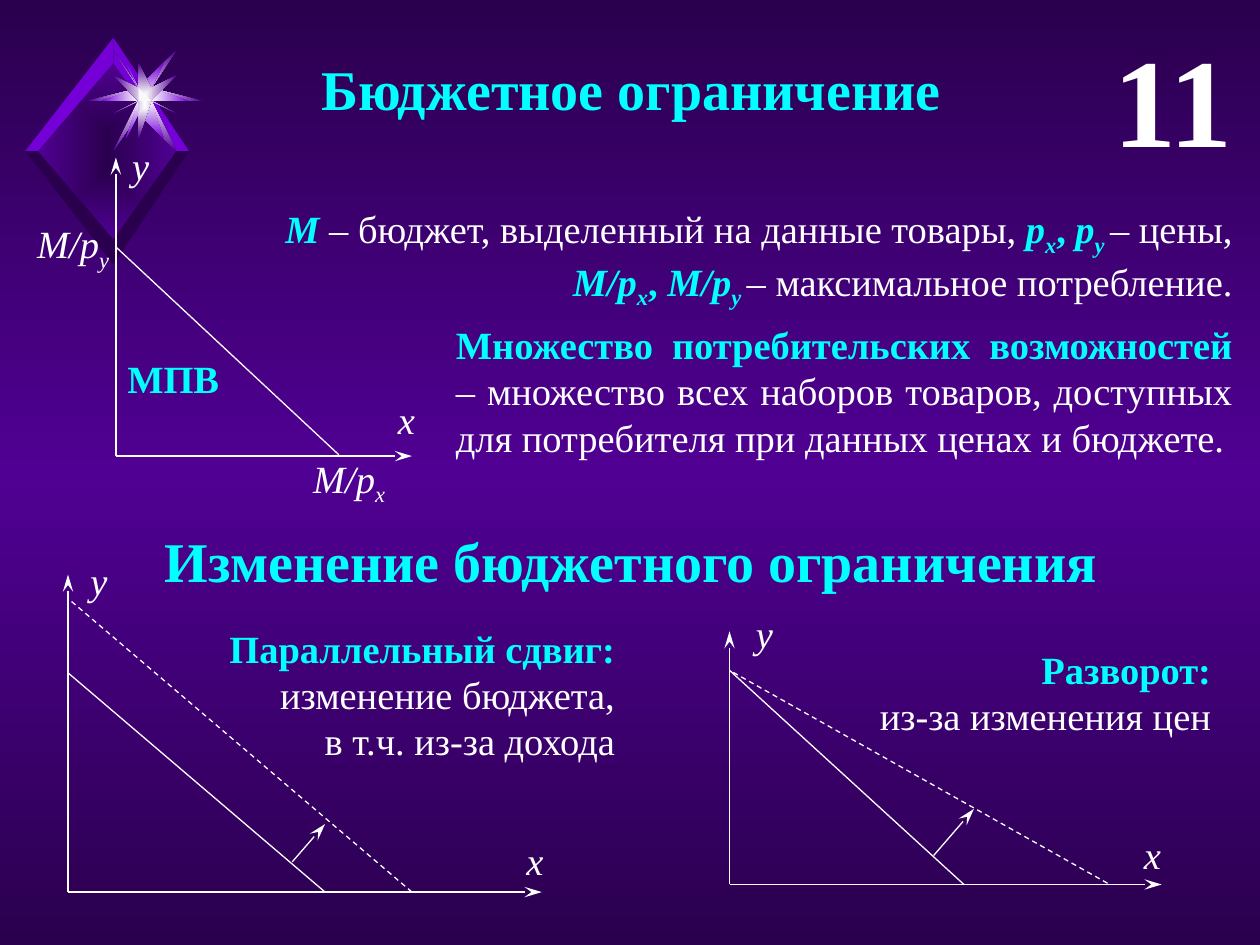
from dataclasses import dataclass
from itertools import product
from typing import Optional

from lxml.etree import SubElement
from pptx import Presentation
from pptx.dml.color import RGBColor
from pptx.enum.dml import MSO_LINE
from pptx.enum.shapes import MSO_CONNECTOR
from pptx.enum.text import PP_ALIGN
from pptx.oxml.ns import qn
from pptx.util import Inches, Pt

COLORS = {
    "night": "2A004E",
    "violet": "500093",
    "bright": "7500D7",
    "spark": "F9F9F9",
    "white": "FFFFFF",
    "cyan": "00FFFF",
}
FONT = "Times New Roman"
BODY, HEADING, NUMBER = 22, 32, 72
GRID_COLUMNS = 100
CENTER, RIGHT, JUSTIFY = PP_ALIGN.CENTER, PP_ALIGN.RIGHT, PP_ALIGN.JUSTIFY

deck = Presentation()
deck.slide_width, deck.slide_height = Inches(10), Inches(7.5)
page = deck.slides.add_slide(deck.slide_layouts[6])
CELL = deck.slide_width // GRID_COLUMNS

Point = tuple[float, float]


@dataclass(frozen=True)
class Span:
    text: str
    color: str = "white"
    bold: bool = False
    italic: bool = False
    lowered: bool = False


@dataclass(frozen=True)
class Box:
    column: float
    row: float
    columns: float
    rows: float
    lines: list[list[Span]]
    align: PP_ALIGN = CENTER
    size: int = BODY


@dataclass(frozen=True)
class Segment:
    start: Point
    end: Point
    arrow: bool = False
    dashed: bool = False


@dataclass(frozen=True)
class Star:
    center: Point
    quadrant: list[Point]
    inner: str
    outer: Optional[str] = None


def cells(*values: float) -> list[int]:
    return [round(value * CELL) for value in values]


def set_gradient(fill, parent, names: list[str], angle: Optional[int] = None) -> None:
    fill.gradient()
    gradient = parent.find(qn("a:gradFill"))
    for child in list(gradient):
        gradient.remove(child)
    stops = SubElement(gradient, qn("a:gsLst"))
    for index, name in enumerate(names):
        position = 100000 * index // (len(names) - 1)
        stop = SubElement(stops, qn("a:gs"), pos=str(position))
        SubElement(stop, qn("a:srgbClr"), val=COLORS[name])
    if angle is not None:
        SubElement(gradient, qn("a:lin"), ang=str(angle * 60000), scaled="0")
    else:
        path = SubElement(gradient, qn("a:path"), path="rect")
        sides = dict.fromkeys("ltrb", "50000")
        SubElement(path, qn("a:fillToRect"), **sides)


def draw_outline(points: list[Point], inner: str, outer: Optional[str] = None) -> None:
    builder = page.shapes.build_freeform(*points[0], scale=CELL)
    builder.add_line_segments(points[1:], close=True)
    shape = builder.convert_to_shape()
    shape.shadow.inherit = False
    shape.line.fill.background()
    if outer:
        set_gradient(shape.fill, shape.element.spPr, [inner, outer])
    else:
        shape.fill.solid()
        shape.fill.fore_color.rgb = RGBColor.from_string(COLORS[inner])


def draw_gem(center: Point) -> None:
    x, y = center
    wide, high, inner_wide, inner_high = 6.4, 8.75, 5.15, 7.05
    draw_outline(
        [(x, y - inner_high), (x - inner_wide, y), (x, y + inner_high), (x + inner_wide, y)],
        "night", "violet",
    )
    for (down, color), side in product([(-1, "bright"), (1, "night")], [1, -1]):
        draw_outline(
            [(x, y + down * inner_high), (x, y + down * high),
             (x + side * wide, y), (x + side * inner_wide, y)],
            color,
        )


def draw_star(star: Star) -> None:
    x, y = star.center
    right = star.quadrant + [(dx, -dy) for dx, dy in star.quadrant[-2::-1]]
    around = right + [(-dx, dy) for dx, dy in right[-2:0:-1]]
    draw_outline([(x + dx, y + dy) for dx, dy in around], star.inner, star.outer)


def draw_segment(segment: Segment) -> None:
    connector = page.shapes.add_connector(
        MSO_CONNECTOR.STRAIGHT, *cells(*segment.start, *segment.end)
    )
    SubElement(connector.element.spPr, qn("a:effectLst"))
    connector.line.width = Pt(0.75)
    connector.line.color.rgb = RGBColor.from_string(COLORS["white"])
    if segment.dashed:
        connector.line.dash_style = MSO_LINE.DASH
    if segment.arrow:
        outline = connector.element.spPr.find(qn("a:ln"))
        SubElement(outline, qn("a:tailEnd"), type="stealth", w="med", len="lg")


def draw_box(box: Box) -> None:
    frame = page.shapes.add_textbox(
        *cells(box.column, box.row, box.columns, box.rows)
    ).text_frame
    frame.word_wrap = True
    frame.text = "\n".join("" for _ in box.lines)
    for para, spans in zip(frame.paragraphs, box.lines):
        para.alignment = box.align
        for span in spans:
            run = para.add_run()
            run.text = span.text
            run.font.name, run.font.size = FONT, Pt(box.size)
            run.font.bold, run.font.italic = span.bold, span.italic
            run.font.color.rgb = RGBColor.from_string(COLORS[span.color])
            if span.lowered:
                run.font._element.set("baseline", "-25000")


def draw_axes(origin: Point, top: float, right: float) -> None:
    draw_segment(Segment(origin, (origin[0], top), arrow=True))
    draw_segment(Segment(origin, (right, origin[1]), arrow=True))


def key(text: str, italic: bool = False, lowered: bool = False) -> Span:
    return Span(text, "cyan", True, italic, lowered)


def symbol(name: str, index: str) -> list[Span]:
    return [key(name, True), key(index, True, True)]


def axis_label(column: float, row: float, name: str, index: str = "") -> Box:
    spans = [Span(name, italic=True)]
    if index:
        spans.append(Span(index, italic=True, lowered=True))
    return Box(column, row, 8.4 if index else 3.3, 5.1, [spans])


STARS = [
    Star((11.45, 7.8), [(0, -0.8), (2.25, -4.15), (0.65, -0.4), (4.55, 0)], "white", "violet"),
    Star((11.45, 7.8), [(0, -0.8), (1.65, -3.05), (0.65, -0.4), (3.3, 0)], "white", "bright"),
    Star((11.45, 7.8), [(0, -2.9), (0.25, -0.4), (2.35, -1.45), (0.45, 0)], "white", "violet"),
    Star((11.4, 7.8), [(0, -0.7), (0.1, -0.2), (0.55, -0.4), (0.2, 0)], "spark"),
]
AXES = [((9.2, 36.2), 12.5, 32.7), ((5.4, 70.8), 45.6, 43), ((57.9, 70.2), 50.1, 92.2)]
SEGMENTS = [
    Segment((9.2, 19.6), (26.9, 36.1)),
    Segment((5.4, 53.4), (25.8, 70.8)),
    Segment((32.7, 70.8), (5.4, 47.5), dashed=True),
    Segment((23.2, 68.4), (25.8, 65.4), arrow=True),
    Segment((57.9, 53.2), (76.5, 70.2)),
    Segment((87.9, 70.1), (57.9, 53.2), dashed=True),
    Segment((74.1, 67.9), (77.3, 64.2), arrow=True),
]
BOXES = [
    Box(2, 3.8, 96.2, 6.4, [[key("Бюджетное ограничение")]], size=HEADING),
    Box(86.3, 1.2, 12.5, 13.1, [[Span("11", bold=True)]], RIGHT, NUMBER),
    Box(20, 15.8, 78.8, 8.4, [
        [key("M ", True), Span("– бюджет, выделенный на данные товары, "),
         *symbol("p", "x"), key(", "), *symbol("p", "y "), Span("– цены,")],
        [*symbol("M/p", "x"), key(", "), *symbol("M/p", "y "),
         Span("– максимальное потребление.")],
    ], RIGHT),
    axis_label(30.6, 30.9, "x"),
    axis_label(9.5, 10.8, "y"),
    axis_label(1.6, 17, "M/p", "y"),
    axis_label(23.5, 35.6, "M/p", "x"),
    Box(8.7, 27.7, 10.1, 5.4, [[key("МПВ")]]),
    Box(35.2, 25, 63.6, 12.1, [
        [key("Множество потребительских возможностей "),
         Span("– множество всех наборов товаров, доступных для потребителя "
              "при данных ценах и бюджете.")],
    ], JUSTIFY),
    Box(2, 41.3, 96.2, 6.4, [[key("Изменение бюджетного ограничения")]], size=HEADING),
    Box(15.2, 49.1, 34.6, 12.1, [
        [key("Параллельный сдвиг:")], [Span("изменение бюджета,")], [Span("в т.ч. из-за дохода")],
    ], RIGHT),
    axis_label(40.8, 65.9, "x"),
    axis_label(6.2, 43.7, "y"),
    Box(62.5, 50.8, 34.6, 8.4, [[key("Разворот:")], [Span("из-за изменения цен")]], RIGHT),
    axis_label(89.8, 65.5, "x"),
    axis_label(59, 47.9, "y"),
]

background = page.background.fill
background.solid()
set_gradient(background, page.element.find(".//" + qn("p:bgPr")), ["night", "violet", "night"], 90)
draw_gem((8.6, 11.8))
for star in STARS:
    draw_star(star)
for axes in AXES:
    draw_axes(*axes)
for segment in SEGMENTS:
    draw_segment(segment)
for box in BOXES:
    draw_box(box)
deck.save("out.pptx")
